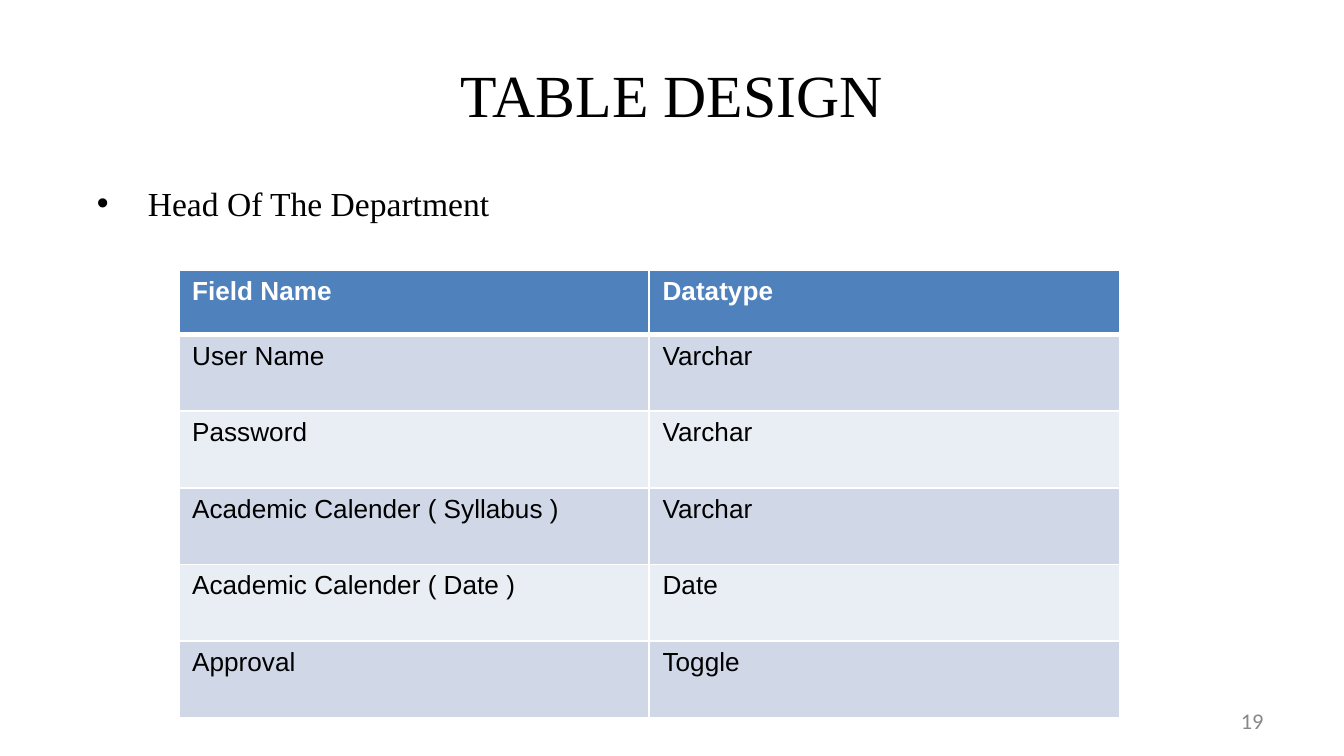
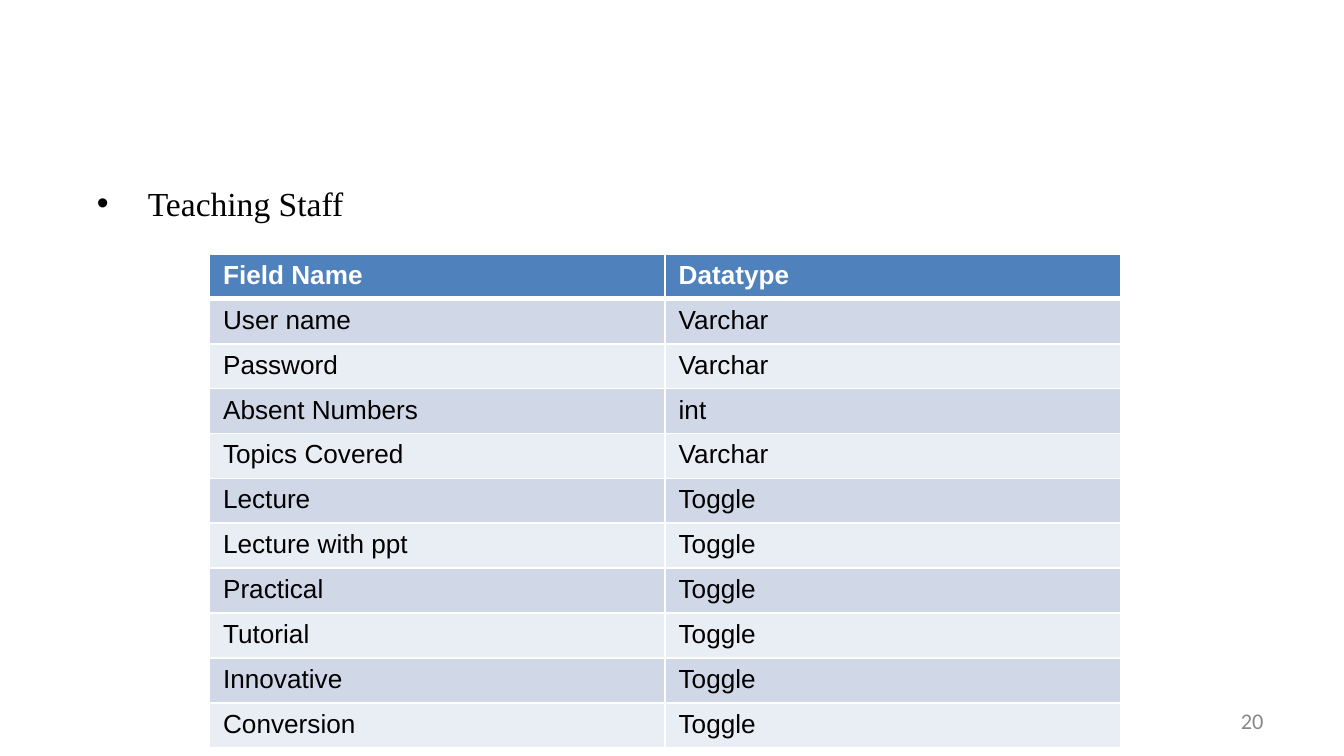
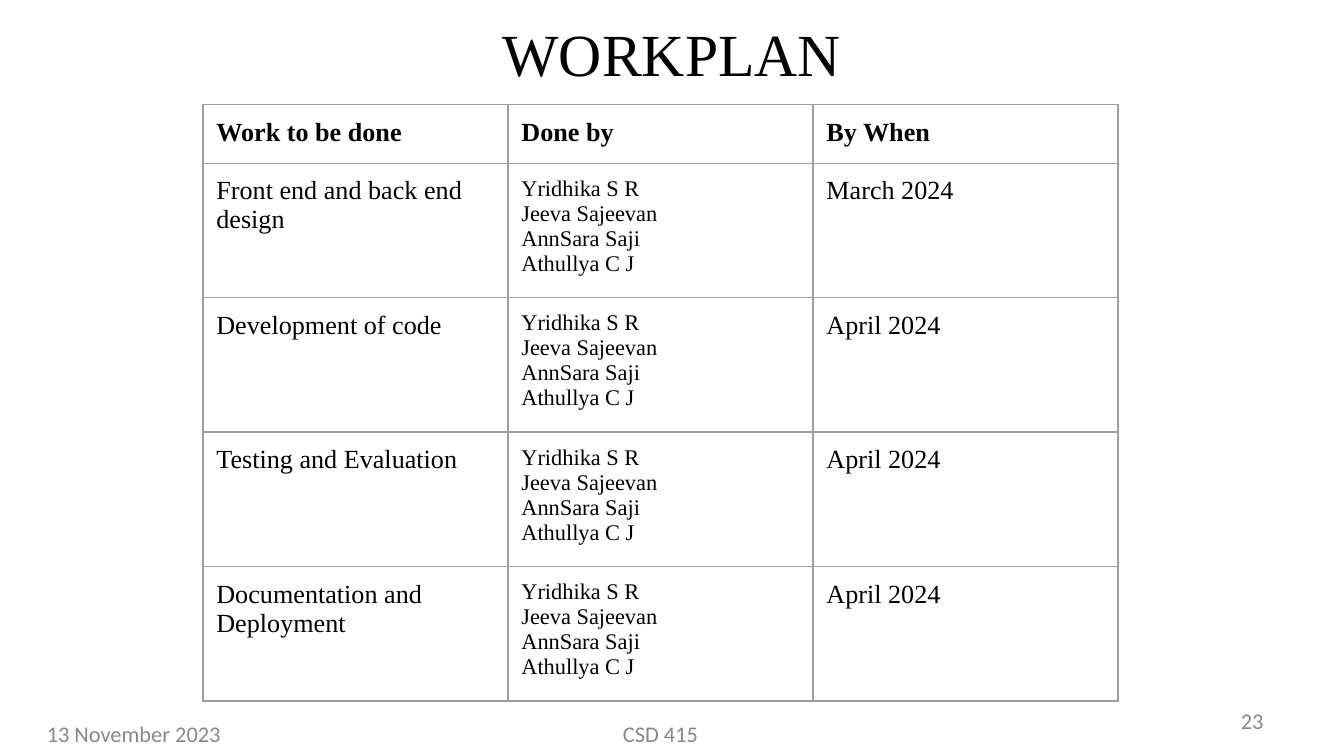
"""Build three slides: two field tables and a work plan."""
import pptx
import pptx.util
import pptx.dml.color
import pptx.enum.text
import pptx.oxml
import pptx.oxml.ns

Inches, Pt = pptx.util.Inches, pptx.util.Pt
ALIGN = pptx.enum.text.PP_ALIGN
MIDDLE = pptx.enum.text.MSO_ANCHOR.MIDDLE
FIXED = pptx.enum.text.MSO_AUTO_SIZE.NONE

SERIF, SANS, SMALL = "Times New Roman", "Arial", "Calibri"
BLACK, WHITE, GREY, RULE = "000000", "FFFFFF", "888888", "9E9E9E"
BLUE, BANDS = "4F81BD", ("D0D8E8", "E9EDF4")

HEADS = ("Field Name", "Datatype")
TEAM = "Yridhika S R\nJeeva Sajeevan\nAnnSara Saji\nAthullya C J"

FIELDS = [
    dict(title="TABLE DESIGN", item="Head Of The Department", page="19",
         left=1.33, top=2.01, col=3.5, high=(0.48, 0.57),
         rows=[HEADS,
               ("User Name", "Varchar"),
               ("Password", "Varchar"),
               ("Academic Calender ( Syllabus )", "Varchar"),
               ("Academic Calender ( Date )", "Date"),
               ("Approval", "Toggle")]),
    dict(title=None, item="Teaching Staff", page="20",
         left=1.56, top=1.89, col=3.39, high=(0.32, 0.32),
         rows=[HEADS,
               ("User name", "Varchar"),
               ("Password", "Varchar"),
               ("Absent Numbers", "int"),
               ("Topics Covered", "Varchar"),
               ("Lecture", "Toggle"),
               ("Lecture with ppt", "Toggle"),
               ("Practical", "Toggle"),
               ("Tutorial", "Toggle"),
               ("Innovative", "Toggle"),
               ("Conversion", "Toggle")]),
]

PLAN = dict(
    title="WORKPLAN", page="23",
    left=1.51, top=0.78, col=2.27, high=(0.42, 0.94),
    rows=[("Work to be done", "Done by", "By When"),
          ("Front end and back end design", TEAM, "March 2024"),
          ("Development of code", TEAM, "April 2024"),
          ("Testing and Evaluation", TEAM, "April 2024"),
          ("Documentation and Deployment", TEAM, "April 2024")])

NOTES = [("CSD 415", (3.33, 5.31, 3.17, 0.3), ALIGN.CENTER),
         ("13 November 2023", (0.25, 5.31, 2.33, 0.3), ALIGN.LEFT)]


def paint(hue):
    """Turn a hex string into a colour."""
    return pptx.dml.color.RGBColor.from_string(hue)


def style(frame, size, font, hue, bold=False, align=None):
    """Format every run of a text frame."""
    for para in frame.paragraphs:
        para.alignment = align
        for run in para.runs:
            run.font.size, run.font.name, run.font.bold = Pt(size), font, bold
            run.font.color.rgb = paint(hue)


def place(shape, box):
    """Move a shape to a box given in inches."""
    shape.left, shape.top, shape.width, shape.height = map(Inches, box)


def head(slide, text, top):
    """Fill the title placeholder."""
    title = slide.shapes.title
    place(title, (0.5, top, 9, 0.94))
    frame = title.text_frame
    frame.text, frame.vertical_anchor, frame.auto_size = text, MIDDLE, FIXED
    style(frame, 32, SERIF, BLACK, align=ALIGN.CENTER)


def point(slide, text):
    """Fill the body placeholder with one bullet."""
    body = slide.placeholders[1]
    place(body, (0.5, 1.31, 9, 3.71))
    frame = body.text_frame
    frame.text, frame.auto_size = text, FIXED
    style(frame, 18, SERIF, BLACK)
    para = frame.paragraphs[0]
    para.space_before = Pt(3.6)
    props = para._p.get_or_add_pPr()
    props.set("marL", str(Inches(0.5)))
    props.set("indent", str(Inches(-0.38)))


def note(slide, text, box, align):
    """Add a small grey footer text."""
    frame = slide.shapes.add_textbox(*map(Inches, box)).text_frame
    frame.word_wrap, frame.vertical_anchor = True, MIDDLE
    frame.text = text
    style(frame, 12, SMALL, GREY, align=align)


def number(slide, page):
    """Add the page number."""
    note(slide, page, (7.17, 5.21, 2.33, 0.3), ALIGN.RIGHT)


def edge(cell, hue, **sides):
    """Draw the cell borders, widths in points by side."""
    props = cell._tc.get_or_add_tcPr()
    for side in "LRTB":
        props.append(pptx.oxml.parse_xml(
            f'<a:ln{side} {pptx.oxml.ns.nsdecls("a")} w="{Pt(sides[side])}">'
            f'<a:solidFill><a:srgbClr val="{hue}"/></a:solidFill></a:ln{side}>'))


def grid(slide, data, dress):
    """Add a table and dress each cell."""
    rows, (first, rest) = data["rows"], data["high"]
    wide, count = len(rows[0]), len(rows)
    table = slide.shapes.add_table(
        count, wide, Inches(data["left"]), Inches(data["top"]),
        Inches(wide * data["col"]), Inches(first + rest * (count - 1))).table
    table.first_row = table.horz_banding = False
    for col in table.columns:
        col.width = Inches(data["col"])
    for r, row in enumerate(rows):
        table.rows[r].height = Inches(rest if r else first)
        for c, text in enumerate(row):
            cell = table.cell(r, c)
            cell.text = text
            dress(cell, r, c)


def band(cell, r, c):
    """Dress a cell of a field table."""
    edge(cell, WHITE, L=1, R=1, T=3 if r == 1 else 1, B=1 if r else 3)
    cell.fill.solid()
    cell.fill.fore_color.rgb = paint(BANDS[(r - 1) % 2] if r else BLUE)
    style(cell.text_frame, 14, SANS, BLACK if r else WHITE, bold=r == 0)


def ruled(cell, r, c):
    """Dress a cell of the work plan."""
    edge(cell, RULE, L=0.75, R=0.75, T=0.75, B=0.75)
    cell.fill.background()
    cell.margin_top = cell.margin_bottom = Inches(0.1)
    style(cell.text_frame, 12 if r and c == 1 else 14, SERIF, BLACK, bold=r == 0)


def main():
    """Build and save the deck."""
    deck = pptx.Presentation()
    deck.slide_width = Inches(10)
    deck.slide_height = deck.slide_width * 9 // 16
    for data in FIELDS:
        slide = deck.slides.add_slide(deck.slide_layouts[1])
        if data["title"]:
            head(slide, data["title"], 0.23)
        else:
            title = slide.shapes.title.element
            title.getparent().remove(title)
        point(slide, data["item"])
        number(slide, data["page"])
        grid(slide, data, band)

    slide = deck.slides.add_slide(deck.slide_layouts[5])
    head(slide, PLAN["title"], -0.08)
    number(slide, PLAN["page"])
    grid(slide, PLAN, ruled)
    for text, box, align in NOTES:
        note(slide, text, box, align)
    deck.save("out.pptx")


if __name__ == "__main__":
    main()
